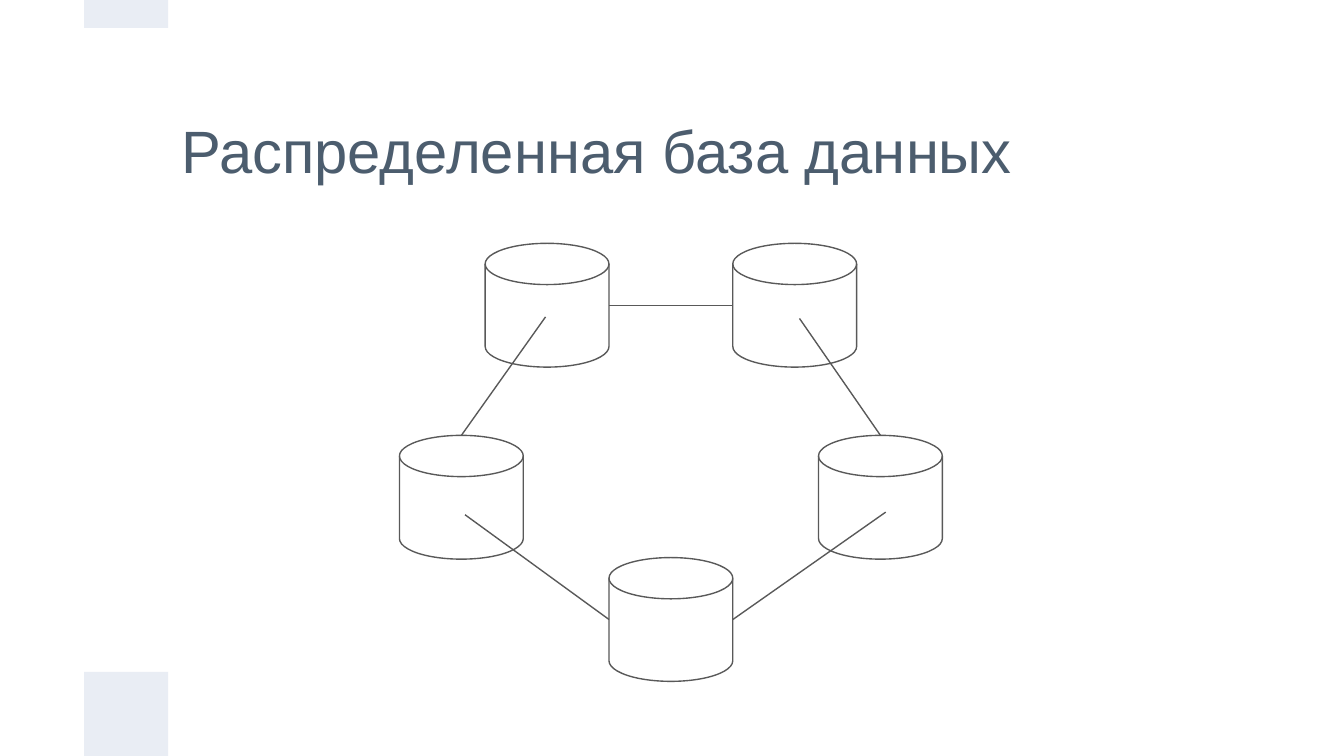
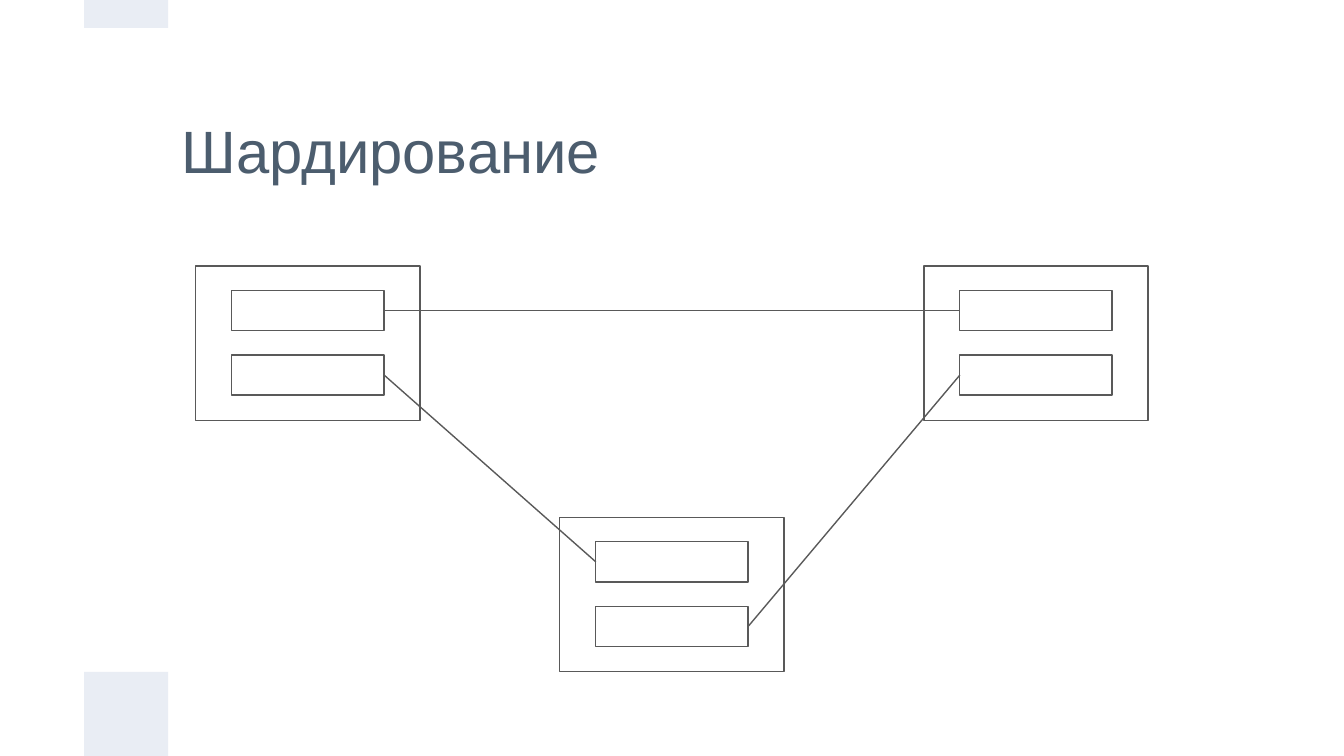
from lxml.etree import SubElement
from pptx import Presentation
from pptx.dml.color import RGBColor
from pptx.enum.shapes import MSO_CONNECTOR, MSO_SHAPE
from pptx.enum.text import MSO_ANCHOR, MSO_AUTO_SIZE, PP_ALIGN
from pptx.oxml.ns import qn
from pptx.util import Cm, Pt

COLORS = {"title": "4C5D6E", "band": "E9EDF4", "line": "595959"}
FONT = "Arial"
LINE_WIDTH = Pt(0.75)
SLIDE_W, SLIDE_H = 25.4, 14.29
BAND = 1.59
LEFT, RIGHT = 1, 3  # connection sites of a rectangle


def color(name):
    return RGBColor.from_string(COLORS[name])


def set_text(tf, text, size=32, fill="title", align=PP_ALIGN.LEFT,
             anchor=MSO_ANCHOR.MIDDLE, margin=0.25):
    tf.word_wrap = True
    tf.auto_size = MSO_AUTO_SIZE.NONE
    tf.vertical_anchor = anchor
    tf.margin_left = tf.margin_right = Cm(margin)
    tf.margin_top = tf.margin_bottom = Cm(margin)
    p = tf.paragraphs[0]
    p.alignment = align
    r = p.add_run()
    r.text = text
    r.font.name = FONT
    r.font.size = Pt(size)
    r.font.color.rgb = color(fill)


class Deck:
    def __init__(self):
        self.prs = Presentation()
        self.prs.slide_width, self.prs.slide_height = Cm(SLIDE_W), Cm(SLIDE_H)
        self.s = None

    def slide(self, title):
        """Start a slide with its title and the two side bands."""
        self.s = self.prs.slides.add_slide(self.prs.slide_layouts[5])
        sp = self.s.shapes.title
        sp.left, sp.top, sp.width, sp.height = map(Cm, (3.18, 1.59, 19.05, 2.49))
        set_text(sp.text_frame, title)
        self.shape(BAND, SLIDE_H - BAND, BAND, BAND, fill="band")
        self.shape(BAND, 0, BAND, 0.53, fill="band")

    def shape(self, x, y, w, h, kind=MSO_SHAPE.RECTANGLE, fill=None):
        """Add a filled shape without outline, or an outline without fill."""
        sp = self.s.shapes.add_shape(kind, Cm(x), Cm(y), Cm(w), Cm(h))
        sp.shadow.inherit = False
        if fill:
            sp.fill.solid()
            sp.fill.fore_color.rgb = color(fill)
            sp.line.fill.background()
        else:
            sp.fill.background()
            sp.line.color.rgb = color("line")
            sp.line.width = LINE_WIDTH
        return sp

    def line(self, start=(0, 0), end=(0, 0)):
        cxn = self.s.shapes.add_connector(
            MSO_CONNECTOR.STRAIGHT, *map(Cm, (*start, *end)))
        cxn.line.color.rgb = color("line")
        cxn.line.width = LINE_WIDTH
        SubElement(cxn._element.spPr, qn("a:effectLst"))
        return cxn

    def link(self, first, first_site, second, second_site):
        """Join two rectangles with a glued line."""
        cxn = self.line()
        cxn.begin_connect(first, first_site)
        cxn.end_connect(second, second_site)


def distributed_database(deck):
    deck.slide("Распределенная база данных")
    size, center = 2.34, 12.68
    half = size / 2
    top, middle, bottom = 4.6, 8.23, 10.54
    near, far = size, 3.96  # distances of the disks from the axis
    for dx, y in ((0, bottom), (far, middle), (-far, middle),
                  (-near, top), (near, top)):
        deck.shape(center + dx - half, y, size, size,
                   MSO_SHAPE.FLOWCHART_MAGNETIC_DISK)
    for start, end in (
        ((center - half, bottom + half), (8.79, 9.73)),
        ((center - far, middle), (10.31, 5.99)),
        ((center + half, bottom + half), (16.74, 9.68)),
        ((center + far, middle), (15.11, 6.02)),
        ((center - half, top + half), (center + half, top + half)),
    ):
        deck.line(start, end)


def server(deck, x, y):
    """Draw a server and return its two shards, the upper one first."""
    deck.shape(x, y, 4.24, 2.92)
    return [deck.shape(x + 0.68, y + 0.46 + i * 1.22, 2.88, 0.76)
            for i in range(2)]


def sharding(deck):
    deck.slide("Шардирование")
    left = server(deck, 3.7, 5.03)
    right = server(deck, 17.46, 5.03)
    lower = server(deck, 10.58, 9.78)
    deck.link(lower[1], RIGHT, right[1], LEFT)
    deck.link(lower[0], LEFT, left[1], RIGHT)
    deck.link(left[0], RIGHT, right[0], LEFT)


def main():
    deck = Deck()
    distributed_database(deck)
    sharding(deck)
    deck.prs.save("out.pptx")


if __name__ == "__main__":
    main()
